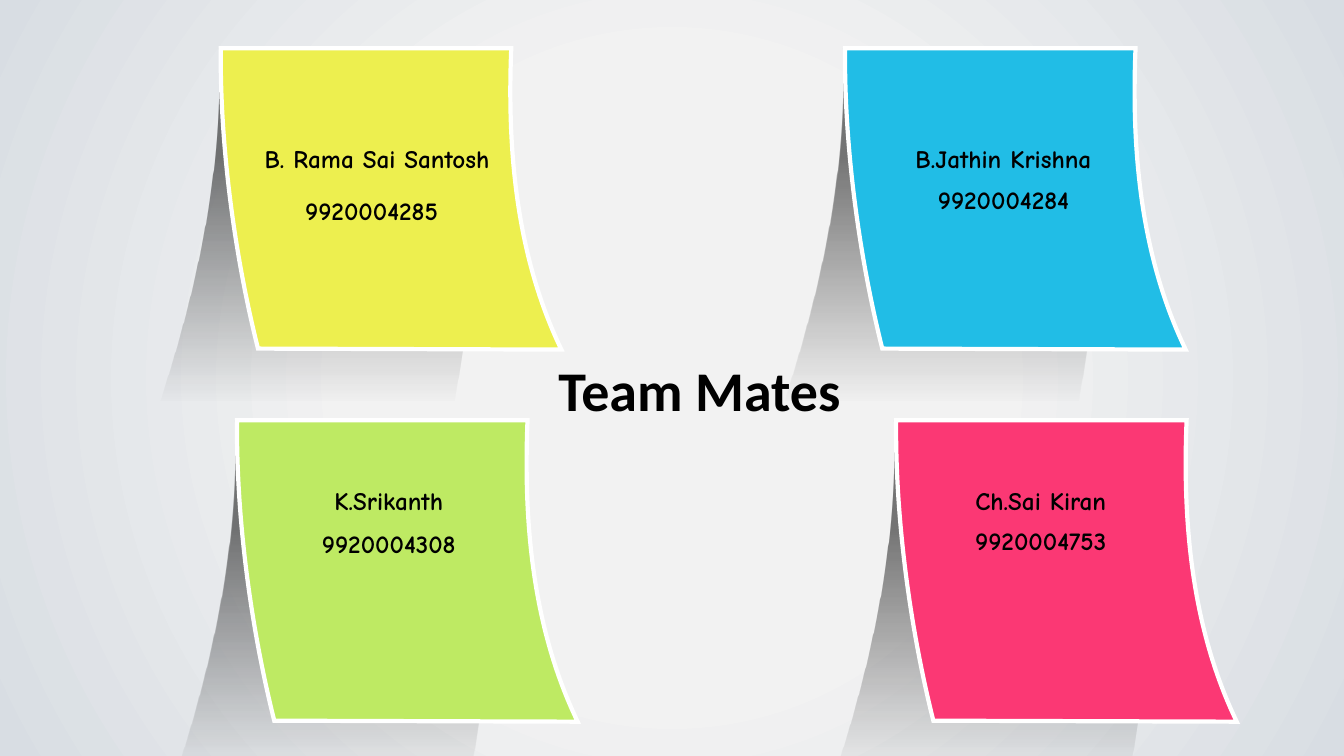
from lxml import etree
from pptx import Presentation
from pptx.dml.color import RGBColor
from pptx.enum import text
from pptx.oxml import ns
from pptx.util import Pt

BLACK = RGBColor(0x00, 0x00, 0x00)
WHITE = RGBColor(0xFF, 0xFF, 0xFF)
PALE_GREY = RGBColor(0xF2, 0xF2, 0xF2)
BLUE_GREY = RGBColor(0xD8, 0xDD, 0xE3)
YELLOW = RGBColor(0xED, 0xEF, 0x4F)
BLUE = RGBColor(0x21, 0xBD, 0xE6)
GREEN = RGBColor(0xBE, 0xEA, 0x63)
PINK = RGBColor(0xFB, 0x38, 0x74)

# Outlines in points from the note's top left corner. Each part lists its
# points: one for a line end, three for a Bezier curve.
NOTE_OUTLINE = [
    [(0, 0)],
    [(207.5, 0)],
    [(204.5, 72.7), (211, 148.3), (243.3, 215.3)],
    [(26.6, 214.6)],
    [(9.4, 146.2), (-0.7, 67.7), (0, 0)],
]
SHADOW_OUTLINE = [
    [(206.6, 0)],
    [(-1.4, 0)],
    [(2.2, 94.3), (-21.6, 192.2), (-53.3, 280.1)],
    [(162.7, 275.8)],
]
LABEL_WIDTH, LABEL_HEIGHT = 173.5, 29

# colour, note left, note top, label left, name, name top, name width,
# number, number top
TEAM = [
    (YELLOW, 157.7, 34.4, 178.6, "B. Rama Sai Santosh", 98.6, 181.4, "9920004285", 135.7),
    (BLUE, 603.6, 34.4, 630, "B.Jathin Krishna", 98.6, LABEL_WIDTH, "9920004284", 127.8),
    (GREEN, 169.3, 300.2, 190.9, "K.Srikanth", 343, LABEL_WIDTH, "9920004308", 373.7),
    (PINK, 640.1, 300.2, 656.6, "Ch.Sai Kiran", 343, LABEL_WIDTH, "9920004753", 372),
]


def add_outline(shapes, outline, left, top):
    """Build an outline from its corners, then bend the curved sides."""
    placed = [[(Pt(left + x), Pt(top + y)) for x, y in part] for part in outline]
    corners = [part[-1] for part in placed]
    builder = shapes.build_freeform(*corners[0])
    builder.add_line_segments(corners[1:], close=True)
    outlined = builder.convert_to_shape()
    outlined.shadow.inherit = False

    sides = list(outlined.element.iter(ns.qn("a:lnTo")))
    for side, part in zip(sides, placed[1:]):
        if len(part) == 3:
            curve = etree.Element(ns.qn("a:cubicBezTo"))
            for x, y in part:
                local = {"x": str(x - outlined.left), "y": str(y - outlined.top)}
                etree.SubElement(curve, ns.qn("a:pt"), local)
            side.getparent().replace(side, curve)
    return outlined


def set_stops(fill, stops):
    fill.gradient()
    for stop, (position, color) in zip(fill.gradient_stops, stops):
        stop.position = position
        stop.color.rgb = color


def add_note(slide, color, left, top):
    """Group a white-edged note with the fading shadow behind it."""
    group = slide.shapes.add_group_shape()
    shade = add_outline(group.shapes, SHADOW_OUTLINE, left, top)
    set_stops(shade.fill, [(0.28, BLACK), (0.9, BLACK)])
    shade.fill.gradient_angle = 270
    for tint, alpha in zip(shade.element.iter(ns.qn("a:srgbClr")), ("51000", "0")):
        etree.SubElement(tint, ns.qn("a:alpha"), val=alpha)
    shade.line.fill.background()

    note = add_outline(group.shapes, NOTE_OUTLINE, left, top)
    note.fill.solid()
    note.fill.fore_color.rgb = color
    note.line.color.rgb = WHITE
    note.line.width = Pt(3)
    edge = note.element.spPr.find(ns.qn("a:ln"))
    etree.SubElement(edge, ns.qn("a:miter"), lim="800000")


def write(box, words, font_name, size, align):
    frame = box.text_frame
    frame.word_wrap = True
    frame.auto_size = text.MSO_AUTO_SIZE.SHAPE_TO_FIT_TEXT
    frame.vertical_anchor = text.MSO_ANCHOR.TOP
    paragraph = frame.paragraphs[0]
    paragraph.alignment = align
    run = paragraph.add_run()
    run.text = words
    for key, value in {"name": font_name, "size": Pt(size), "bold": True}.items():
        setattr(run.font, key, value)
    run.font.color.rgb = BLACK


def add_label(slide, words, left, top, width=LABEL_WIDTH):
    box = slide.shapes.add_textbox(Pt(left), Pt(top), Pt(width), Pt(LABEL_HEIGHT))
    write(box, words, "Comic Neue", 18, text.PP_ALIGN.CENTER)


def paint_background(slide):
    """Fill the slide with a gradient that spreads from its centre."""
    set_stops(slide.background.fill, [(0.41, PALE_GREY), (1, BLUE_GREY)])
    gradient = next(slide.element.iter(ns.qn("a:gradFill")))
    linear = gradient.find(ns.qn("a:lin"))
    circle = etree.Element(ns.qn("a:path"), {"path": "circle"})
    etree.SubElement(circle, ns.qn("a:fillToRect"), {side: "50000" for side in "ltrb"})
    gradient.replace(linear, circle)


def place_title(slide, words):
    """Set the title and bring it in front of the notes."""
    title = slide.shapes.title
    place = {"left": 391.7, "top": 250.2, "width": 229.7, "height": 55.7}
    for key, value in place.items():
        setattr(title, key, Pt(value))
    write(title, words, "Calibri", 40, text.PP_ALIGN.LEFT)
    slide.shapes.element.append(title.element)


def main():
    deck = Presentation()
    deck.slide_width, deck.slide_height = Pt(960), Pt(540)
    slide = deck.slides.add_slide(deck.slide_layouts[5])
    paint_background(slide)
    for color, left, top, label_left, name, name_top, name_width, number, number_top in TEAM:
        add_note(slide, color, left, top)
        add_label(slide, name, label_left, name_top, name_width)
        add_label(slide, number, label_left, number_top)
    place_title(slide, "Team Mates")
    deck.save("out.pptx")


if __name__ == "__main__":
    main()
